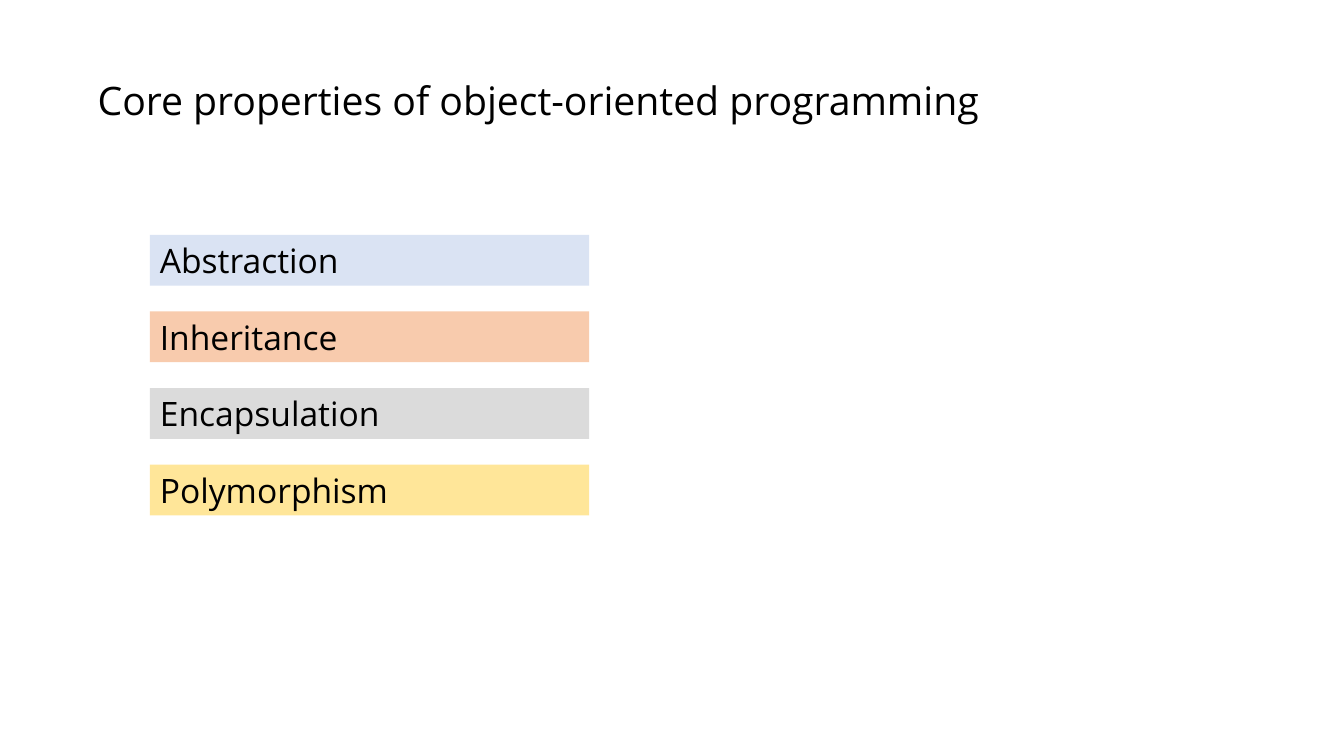
from dataclasses import dataclass

from pptx import Presentation
from pptx.dml.color import RGBColor as Rgb
from pptx.enum.shapes import MSO_SHAPE as Preset
from pptx.enum.text import MSO_ANCHOR as Anchor, PP_ALIGN as Align
from pptx.util import Cm, Pt


@dataclass(frozen=True)
class Theme:
    font: str = "Open Sans"
    ink: str = "000000"
    blue: str = "DAE3F3"
    orange: str = "F8CBAD"
    grey: str = "DBDBDB"
    yellow: str = "FFE699"
    heading_size: int = 28
    property_size: int = 24


class SlideBuilder:
    def __init__(self, slide, theme):
        self.slide = slide
        self.theme = theme

    def add_wording(self, frame, wording, size):
        frame.word_wrap = True
        frame.vertical_anchor = Anchor.MIDDLE
        paragraph = frame.paragraphs[0]
        paragraph.alignment = Align.LEFT
        run = paragraph.add_run()
        run.text = wording
        run.font.name = self.theme.font
        run.font.size = Pt(size)
        run.font.color.rgb = Rgb.from_string(self.theme.ink)

    def heading(self, wording, left, top, width, height):
        box = self.slide.shapes.add_textbox(Cm(left), Cm(top), Cm(width), Cm(height))
        self.add_wording(box.text_frame, wording, self.theme.heading_size)

    def bar(self, wording, fill, left, top, width, height):
        bar = self.slide.shapes.add_shape(
            Preset.RECTANGLE, Cm(left), Cm(top), Cm(width), Cm(height))
        bar.shadow.inherit = False
        bar.fill.solid()
        bar.fill.fore_color.rgb = Rgb.from_string(fill)
        bar.line.fill.background()
        self.add_wording(bar.text_frame, wording, self.theme.property_size)


def main():
    deck = Presentation()
    deck.slide_width, deck.slide_height = Cm(33.87), Cm(19.05)
    theme = Theme()
    builder = SlideBuilder(deck.slides.add_slide(deck.slide_layouts[6]), theme)

    builder.heading("Core properties of object-oriented programming",
                    2.21, 1.8, 25.83, 1.45)

    properties = [
        ("Abstraction", theme.blue),
        ("Inheritance", theme.orange),
        ("Encapsulation", theme.grey),
        ("Polymorphism", theme.yellow),
    ]
    first_top, pitch = 5.92, 1.93
    for position, (wording, fill) in enumerate(properties):
        builder.bar(wording, fill, 3.78, first_top + position * pitch, 11.07, 1.28)

    deck.save("out.pptx")


if __name__ == "__main__":
    main()
